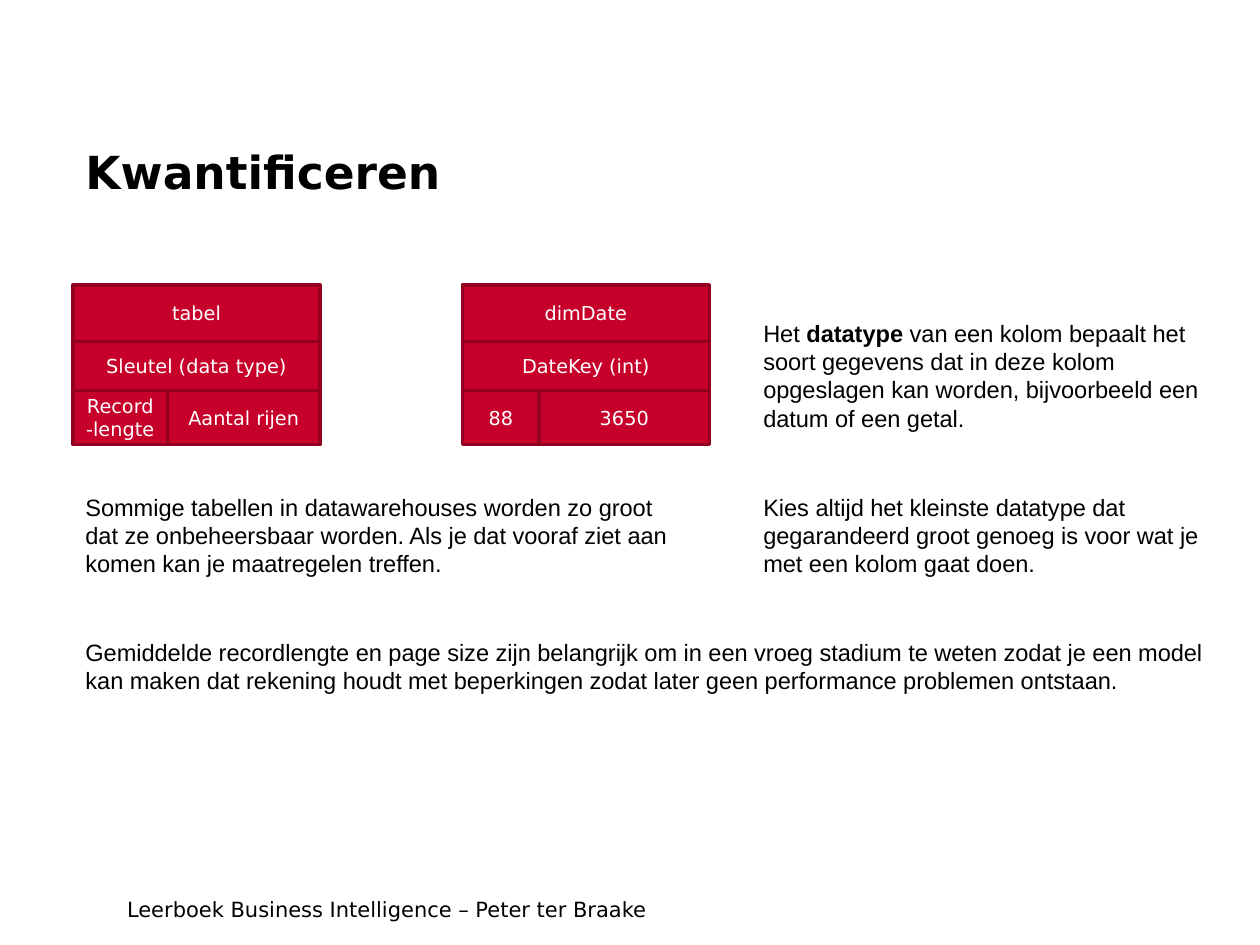
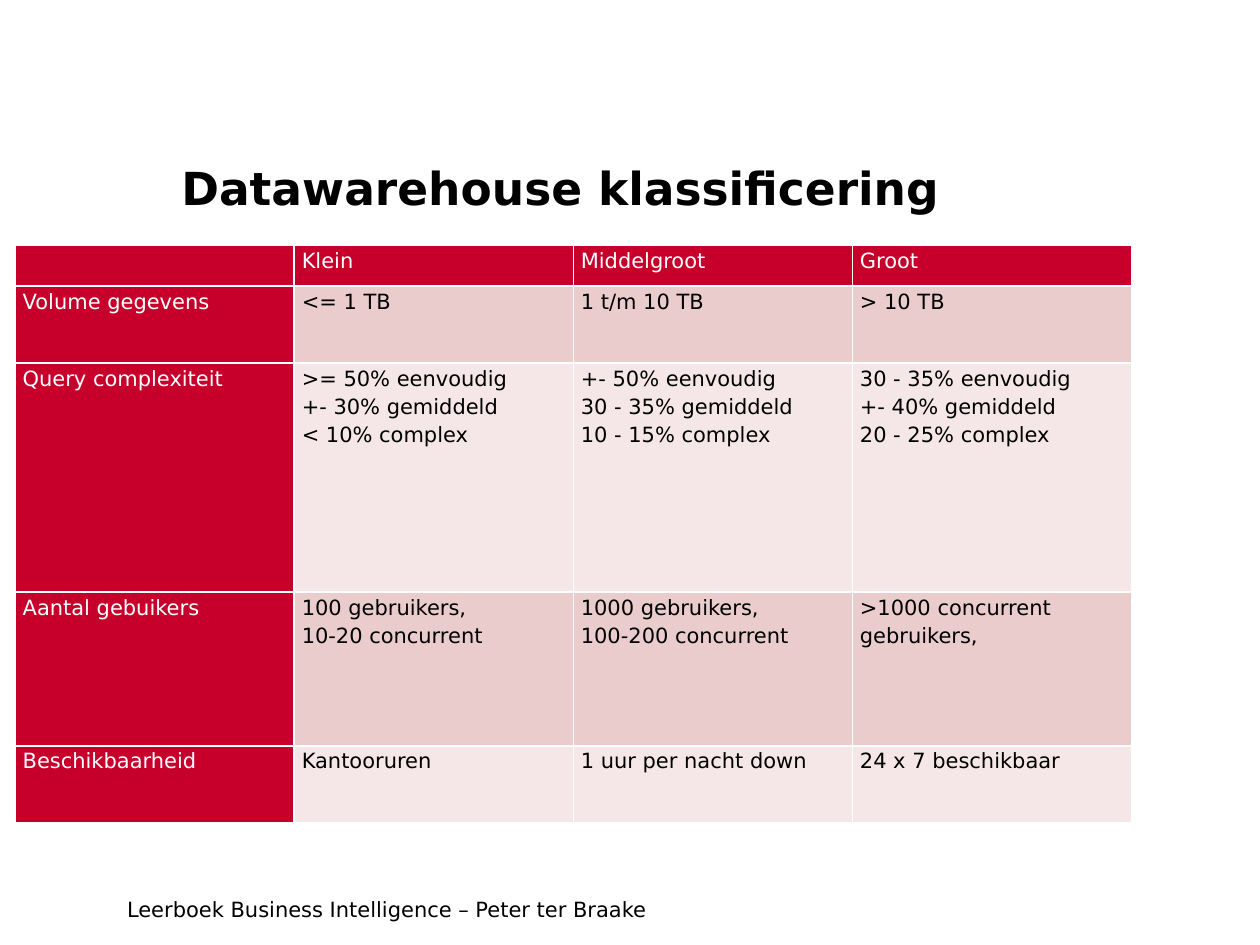
import pptx
import pptx.dml.color
import pptx.enum.shapes
import pptx.enum.text
import pptx.oxml.ns
import pptx.util
from lxml import etree

Inches = pptx.util.Inches
Pt = pptx.util.Pt
RGBColor = pptx.dml.color.RGBColor

RED = RGBColor(0xC7, 0x00, 0x2B)
DARK_RED = RGBColor(0x93, 0x00, 0x20)
PINK = RGBColor(0xEB, 0xCC, 0xCD)
PALE_PINK = RGBColor(0xF5, 0xE7, 0xE8)
WHITE = RGBColor(0xFF, 0xFF, 0xFF)
BLACK = RGBColor(0x00, 0x00, 0x00)
HEADING_FONT = "DejaVu Sans"
BODY_FONT = "Arial"

FOOTER = "Leerboek Business Intelligence – Peter ter Braake"

ENTITY_TOP = 2.26
ENTITY_WIDTH = 1.96
ENTITIES = [
    {"left": 3.67, "split": 0.61, "name": "dimDate", "key": "DateKey (int)",
     "length": "88", "rows": "3650"},
    {"left": 0.58, "split": 0.75, "name": "tabel", "key": "Sleutel (data type)",
     "length": "Record-lengte", "rows": "Aantal rijen"},
]

EXPLANATIONS = [
    ((0.58, 3.86, 5, 0.78), [
        ("Sommige tabellen in datawarehouses worden zo groot dat ze onbeheersbaar worden. "
         "Als je dat vooraf ziet aan komen kan je maatregelen treffen.", False)]),
    ((5.96, 2.48, 3.83, 1.01), [
        ("Het ", False),
        ("datatype", True),
        (" van een kolom bepaalt het soort gegevens dat in deze kolom opgeslagen kan worden, "
         "bijvoorbeeld een datum of een getal.", False)]),
    ((5.96, 3.86, 3.83, 0.78), [
        ("Kies altijd het kleinste datatype dat gegarandeerd groot genoeg is voor wat je "
         "met een kolom gaat doen.", False)]),
    ((0.58, 5.01, 9.08, 0.56), [
        ("Gemiddelde recordlengte en page size zijn belangrijk om in een vroeg stadium te weten "
         "zodat je een model kan maken dat rekening houdt met beperkingen zodat later geen "
         "performance problemen ontstaan.", False)]),
]

CLASSIFICATION = [
    ["", "Klein", "Middelgroot", "Groot"],
    ["Volume gegevens", "<= 1 TB", "1 t/m 10 TB", "> 10 TB"],
    ["Query complexiteit",
     ">= 50% eenvoudig\n+- 30% gemiddeld\n< 10% complex",
     "+- 50% eenvoudig\n30 - 35% gemiddeld\n10 - 15% complex",
     "30 - 35% eenvoudig\n+- 40% gemiddeld\n20 - 25% complex"],
    ["Aantal gebuikers", "100 gebruikers,\n10-20 concurrent",
     "1000 gebruikers,\n100-200 concurrent", ">1000 concurrent gebruikers,"],
    ["Beschikbaarheid", "Kantooruren", "1 uur per nacht down", "24 x 7 beschikbaar"],
]
ROW_HEIGHTS = [0.32, 0.61, 1.82, 1.22, 0.61]
TABLE_LEFT, TABLE_TOP, TABLE_WIDTH = 0.12, 1.95, 8.86


def add_run(paragraph, text, size, color=BLACK, font=HEADING_FONT, bold=False):
    run = paragraph.add_run()
    run.text = text
    run.font.name = font
    run.font.size = Pt(size)
    run.font.bold = bold
    run.font.color.rgb = color


def add_text(slide, box, runs, size, font=HEADING_FONT):
    text_frame = slide.shapes.add_textbox(*map(Inches, box)).text_frame
    text_frame.word_wrap = True
    for text, bold in runs:
        add_run(text_frame.paragraphs[0], text, size, font=font, bold=bold)


def add_slide(presentation, title, title_box):
    slide = presentation.slides.add_slide(presentation.slide_layouts[6])
    add_text(slide, (0.91, 7.07, 6.91, 0.3), [(FOOTER, False)], 12)
    add_text(slide, title_box, [(title, True)], 26)
    return slide


def add_entity(slide, entity):
    group = slide.shapes.add_group_shape()
    left, split = entity["left"], entity["split"]
    top = ENTITY_TOP
    bands = [
        (0.45, [(entity["name"], ENTITY_WIDTH)]),
        (0.39, [(entity["key"], ENTITY_WIDTH)]),
        (0.43, [(entity["length"], split), (entity["rows"], ENTITY_WIDTH - split)]),
    ]
    for height, parts in bands:
        part_left = left
        for text, width in parts:
            shape = group.shapes.add_shape(
                pptx.enum.shapes.MSO_SHAPE.RECTANGLE,
                Inches(part_left), Inches(top), Inches(width), Inches(height))
            shape.shadow.inherit = False
            shape.fill.solid()
            shape.fill.fore_color.rgb = RED
            shape.line.color.rgb = DARK_RED
            shape.line.width = Pt(2)
            text_frame = shape.text_frame
            text_frame.word_wrap = True
            text_frame.vertical_anchor = pptx.enum.text.MSO_ANCHOR.MIDDLE
            paragraph = text_frame.paragraphs[0]
            paragraph.alignment = pptx.enum.text.PP_ALIGN.CENTER
            add_run(paragraph, text, 11, WHITE)
            part_left += width
        top += height


def add_borders(cell):
    properties = cell._tc.get_or_add_tcPr()
    qn = pptx.oxml.ns.qn
    for side in ("a:lnL", "a:lnR", "a:lnT", "a:lnB"):
        line = etree.SubElement(properties, qn(side), w=str(Pt(1)))
        fill = etree.SubElement(line, qn("a:solidFill"))
        etree.SubElement(fill, qn("a:srgbClr"), val=str(WHITE))


def fill_cell(cell, text, row, column):
    is_header = row == 0 or column == 0
    add_borders(cell)
    cell.fill.solid()
    cell.fill.fore_color.rgb = RED if is_header else PINK if row % 2 else PALE_PINK
    cell.margin_left = cell.margin_right = Inches(0.06)
    cell.margin_top = cell.margin_bottom = 0
    if not text:
        return
    paragraph = cell.text_frame.paragraphs[0]
    paragraph.line_spacing = 1.15
    for index, line in enumerate(text.split("\n")):
        if index:
            paragraph.add_line_break()
        add_run(paragraph, line, 12, WHITE if is_header else BLACK)


def add_classification(slide):
    column_count = len(CLASSIFICATION[0])
    table = slide.shapes.add_table(
        len(CLASSIFICATION), column_count, Inches(TABLE_LEFT), Inches(TABLE_TOP),
        Inches(TABLE_WIDTH), Inches(sum(ROW_HEIGHTS))).table
    for column in table.columns:
        column.width = Inches(TABLE_WIDTH / column_count)
    for row, (height, texts) in enumerate(zip(ROW_HEIGHTS, CLASSIFICATION)):
        table.rows[row].height = Inches(height)
        for column, text in enumerate(texts):
            fill_cell(table.cell(row, column), text, row, column)


def main():
    presentation = pptx.Presentation()
    presentation.slide_width = Inches(10)
    presentation.slide_height = Inches(7.5)

    slide = add_slide(presentation, "Kwantificeren", (0.58, 1.09, 8.62, 1.09))
    for entity in ENTITIES:
        add_entity(slide, entity)
    for box, runs in EXPLANATIONS:
        add_text(slide, box, runs, 13.5, BODY_FONT)

    slide = add_slide(presentation, "Datawarehouse klassificering", (1.34, 1.22, 7.41, 0.97))
    add_classification(slide)

    presentation.save("out.pptx")


if __name__ == "__main__":
    main()
